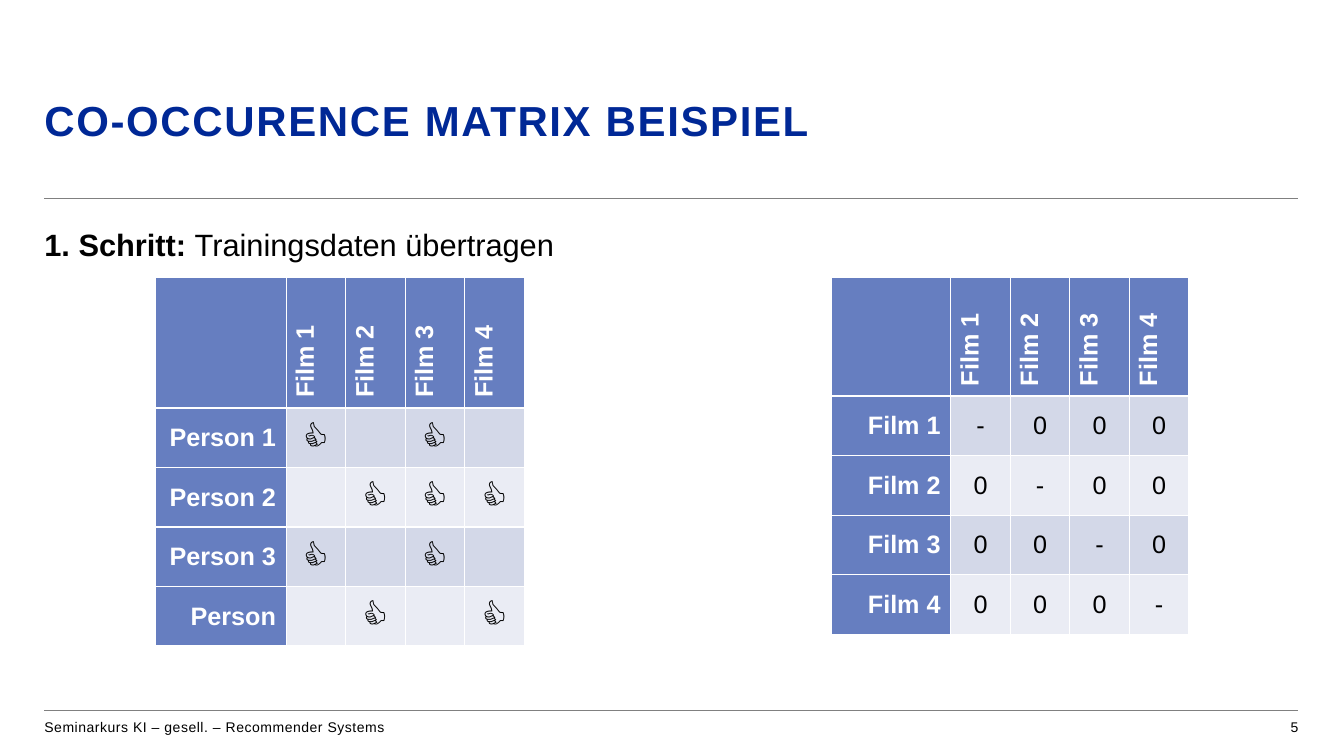
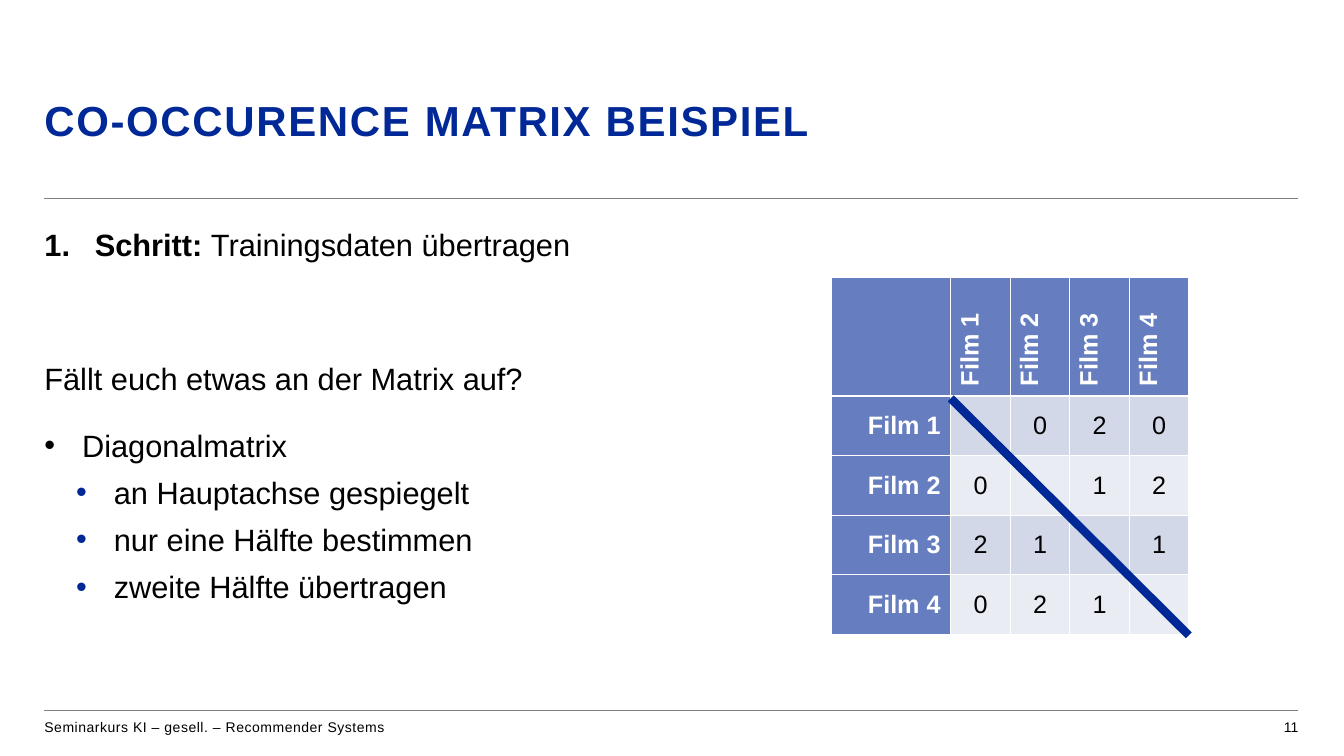
from lxml.etree import SubElement
from pptx import Presentation
from pptx.dml.color import RGBColor
from pptx.enum.shapes import MSO_CONNECTOR
from pptx.enum.text import MSO_ANCHOR, PP_ALIGN
from pptx.oxml.ns import qn
from pptx.util import Cm, Pt

NAVY = RGBColor(0x00, 0x28, 0x96)
BLUE = RGBColor(0x66, 0x7E, 0xC0)
BANDS = (RGBColor(0xD3, 0xD8, 0xE8), RGBColor(0xEA, 0xEC, 0xF4))
GRAY = RGBColor(0x80, 0x80, 0x80)
BLACK = RGBColor(0, 0, 0)
WHITE = RGBColor(255, 255, 255)
FONT = "Arial"

TITLE = "CO-OCCURENCE MATRIX BEISPIEL"
FOOTER = "Seminarkurs KI – gesell. – Recommender Systems"
FILMS = ["Film 1", "Film 2", "Film 3", "Film 4"]
THUMB = "👍"

LEFT, WIDTH = 1.12, 31.6
RIGHT = LEFT + WIDTH
RULES = (5, 17.91)
TOP, UNIT = 6.98, 1.5

LIKES = dict(
    left=3.91, head=3.3, size=28,
    names=["Person 1", "Person 2", "Person 3", "Person"],
    rows=[[THUMB, "", THUMB, ""], ["", THUMB, THUMB, THUMB],
          [THUMB, "", THUMB, ""], ["", THUMB, "", THUMB]],
)
MATRIX = dict(left=20.96, head=3, size=18, names=FILMS)
START = dict(MATRIX, rows=["-000", "0-00", "00-0", "000-"])
FULL = dict(MATRIX, rows=["-020", "0-12", "21-1", "021-"])

TASK = "Trainingsdaten übertragen"
SUB = dict(level=1, indent=(1.75, 0.95), before=6, mark="•", tint=NAVY)

SLIDES = [
    dict(
        number="5",
        body=[([("1. Schritt: ", True), (TASK, False)], dict(after=20))],
        tables=[START, LIKES],
    ),
    dict(
        number="11",
        body=[
            ([("Schritt: ", True), (TASK, False)],
             dict(after=20, indent=(1.27, 1.27), mark="1.")),
            ([("Fällt euch etwas an der Matrix auf?", False)],
             dict(before=48, after=20)),
            ([("Diagonalmatrix", False)],
             dict(indent=(0.95, 0.95), mark="•")),
            ([("an Hauptachse gespiegelt", False)], SUB),
            ([("nur eine Hälfte bestimmen", False)], SUB),
            ([("zweite Hälfte übertragen", False)], SUB),
        ],
        tables=[FULL],
        axis=FULL,
    ),
]


def add_run(para, text, size, color=BLACK, bold=False, space=0):
    run = para.add_run()
    run.text = text
    font = run.font
    font.name, font.size, font.bold = FONT, Pt(size), bold
    font.color.rgb = color
    if space:
        run._r.get_or_add_rPr().set("spc", str(space))


def add_box(slide, left, top, width, height):
    box = slide.shapes.add_textbox(Cm(left), Cm(top), Cm(width), Cm(height))
    frame = box.text_frame
    frame.word_wrap = True
    frame.margin_left = frame.margin_right = 0
    frame.margin_top = frame.margin_bottom = 0
    return frame


def add_line(slide, start, end, color, width):
    ends = [Cm(value) for value in (*start, *end)]
    line = slide.shapes.add_connector(MSO_CONNECTOR.STRAIGHT, *ends)
    line.line.color.rgb = color
    line.line.width = Pt(width)
    SubElement(line._element.spPr, qn("a:effectLst"))


def set_mark(para, mark, indent, tint):
    props = para._p.get_or_add_pPr()
    margin, hang = indent
    props.set("marL", str(Cm(margin)))
    props.set("indent", str(-Cm(hang)))
    if tint is not None:
        fill = SubElement(props, qn("a:buClr"))
        SubElement(fill, qn("a:srgbClr")).set("val", str(tint))
    SubElement(props, qn("a:buFont")).set("typeface", FONT)
    if mark == "•":
        SubElement(props, qn("a:buChar")).set("char", mark)
    else:
        SubElement(props, qn("a:buAutoNum")).set("type", "arabicPeriod")


def add_para(para, runs, level=0, before=0, after=0, mark=None,
             indent=None, tint=None):
    para.level = level
    para.line_spacing = 1.05
    para.space_before, para.space_after = Pt(before), Pt(after)
    if mark:
        set_mark(para, mark, indent, tint)
    for text, bold in runs:
        add_run(para, text, 22, bold=bold)


def add_body(slide, body):
    frame = add_box(slide, LEFT, 5.64, WIDTH, 11.68)
    for index, (runs, style) in enumerate(body):
        para = frame.add_paragraph() if index else frame.paragraphs[0]
        add_para(para, runs, **style)


def add_frame(slide, number):
    for top in RULES:
        add_line(slide, (LEFT, top), (RIGHT, top), GRAY, 0.5)
    foot = add_box(slide, LEFT, 18.11, 20.5, 0.61).paragraphs[0]
    add_run(foot, FOOTER, 10, space=40)
    page = add_box(slide, RIGHT - 5.28, 18.11, 5.28, 0.61).paragraphs[0]
    page.alignment = PP_ALIGN.RIGHT
    add_run(page, number, 10)
    title = add_box(slide, LEFT, 2.49, WIDTH, 2.39).paragraphs[0]
    title.line_spacing = 0.94
    add_run(title, TITLE, 30, NAVY, True, 120)


def fill_cell(cell, text, fill, align, size, color, bold):
    cell.fill.solid()
    cell.fill.fore_color.rgb = fill
    cell.vertical_anchor = MSO_ANCHOR.MIDDLE
    para = cell.text_frame.paragraphs[0]
    para.alignment = align
    if text:
        add_run(para, text, size, color, bold)


def add_grid(slide, left, head, size, names, rows):
    count = len(FILMS) + 1
    side = Cm(head + UNIT * len(FILMS))
    grid = slide.shapes.add_table(
        count, count, Cm(left), Cm(TOP), side, side).table
    grid.first_col = True
    for index in range(count):
        span = Cm(UNIT if index else head)
        grid.columns[index].width = grid.rows[index].height = span
    for col, name in enumerate(["", *FILMS]):
        cell = grid.cell(0, col)
        fill_cell(cell, name, BLUE, PP_ALIGN.LEFT, 18, WHITE, True)
        if name:
            cell._tc.get_or_add_tcPr().set("vert", "vert270")
    for row, (name, values) in enumerate(zip(names, rows), 1):
        fill_cell(grid.cell(row, 0), name, BLUE, PP_ALIGN.RIGHT,
                  18, WHITE, True)
        for col, value in enumerate(values, 1):
            fill_cell(grid.cell(row, col), value, BANDS[(row - 1) % 2],
                      PP_ALIGN.CENTER, size, BLACK, False)


def add_axis(slide, grid):
    left, top = grid["left"] + grid["head"], TOP + grid["head"]
    side = UNIT * len(FILMS)
    add_line(slide, (left, top + 0.06), (left + side, top + side + 0.03),
             NAVY, 6)


def main():
    deck = Presentation()
    deck.slide_width, deck.slide_height = Cm(33.87), Cm(19.05)
    for data in SLIDES:
        slide = deck.slides.add_slide(deck.slide_layouts[6])
        add_frame(slide, data["number"])
        add_body(slide, data["body"])
        for grid in data["tables"]:
            add_grid(slide, **grid)
        if "axis" in data:
            add_axis(slide, data["axis"])
    deck.save("out.pptx")


if __name__ == "__main__":
    main()
